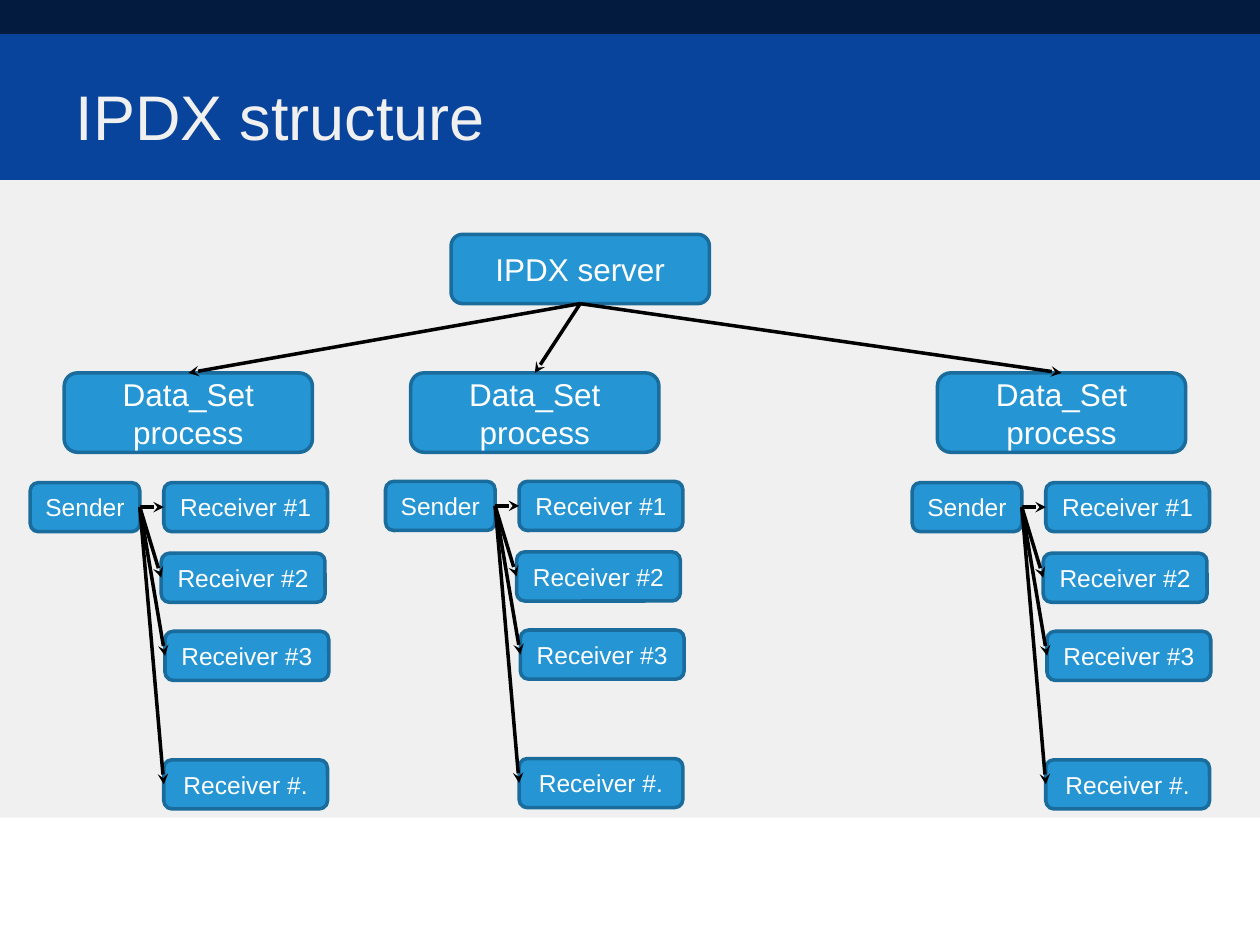
"""Build the IPDX structure slide."""
from pptx import Presentation
from pptx.dml.color import RGBColor
from pptx.enum import shapes, text
from pptx.oxml.ns import qn
from pptx.util import Inches, Pt
from lxml import etree

TOP, LEFT, BOTTOM, RIGHT = range(4)
RECEIVERS = [("#1", 1.06, 0), ("#2", 1.04, 0.56), ("#3", 1.07, 1.18), ("#.", 1.06, 2.2)]
BRANCHES = [(0.51, 0.24, 3.83), (3.26, 3.06, 3.82), (7.44, 7.24, 3.83)]


def color(code):
    """Turn a hex string into a colour."""
    return RGBColor.from_string(code)


def write(shape, words, size, code):
    """Put styled text into a shape."""
    frame = shape.text_frame
    frame.text = words
    frame.word_wrap = True
    frame.vertical_anchor = text.MSO_ANCHOR.MIDDLE
    font = frame.paragraphs[0].runs[0].font
    font.name, font.size = "Arial", Pt(size)
    font.color.rgb = color(code)
    return frame


def band(slide, top, height, code):
    """Draw a full-width background band."""
    shape = slide.shapes.add_shape(
        shapes.MSO_SHAPE.RECTANGLE, 0, Inches(top), Inches(10), Inches(height))
    shape.shadow.inherit = False
    shape.fill.solid()
    shape.fill.fore_color.rgb = color(code)
    shape.line.fill.background()


def title(slide, words):
    """Add the slide title."""
    box = slide.shapes.add_textbox(Inches(0.6), Inches(0.6), Inches(8.65), Inches(0.63))
    frame = write(box, words, 36, "F0F0F0")
    frame.margin_left = frame.margin_right = 0
    frame.margin_top = frame.margin_bottom = 0


def node(slide, words, left, top, width, height, size):
    """Draw a rounded box with centred text."""
    shape = slide.shapes.add_shape(
        shapes.MSO_SHAPE.ROUNDED_RECTANGLE,
        Inches(left), Inches(top), Inches(width), Inches(height))
    shape.shadow.inherit = False
    shape.fill.solid()
    shape.fill.fore_color.rgb = color("2695D3")
    shape.line.color.rgb = color("196C9B")
    shape.line.width = Pt(2)
    frame = write(shape, words, size, "FFFFFF")
    frame.paragraphs[0].alignment = text.PP_ALIGN.CENTER
    return shape


def arrow(slide, start, exit, end, entry):
    """Connect two boxes with an arrow."""
    link = slide.shapes.add_connector(shapes.MSO_CONNECTOR.STRAIGHT, 0, 0, 0, 0)
    link.begin_connect(start, exit)
    link.end_connect(end, entry)
    link.line.color.rgb = color("000000")
    link.line.width = Pt(2)
    etree.SubElement(link.line._get_or_add_ln(), qn("a:tailEnd"), type="stealth")
    etree.SubElement(link._element.spPr, qn("a:effectLst"))


def branch(slide, left, top):
    """Draw a sender with its receivers."""
    sender = node(slide, "Sender", left, top, 0.87, 0.39, 14)
    boxes = [node(slide, f"Receiver {mark}", left + dx, top + dy, 1.3, 0.39, 14)
             for mark, dx, dy in RECEIVERS]
    for box in boxes:
        arrow(slide, sender, RIGHT, box, LEFT)


def main():
    """Assemble and save the slide."""
    deck = Presentation()
    deck.slide_width, deck.slide_height = Inches(10), Inches(7.5)
    slide = deck.slides.add_slide(deck.slide_layouts[6])
    band(slide, 0.27, 1.17, "08449C")
    band(slide, 1.43, 5.06, "F0F0F0")
    band(slide, 0, 0.27, "031B3F")
    title(slide, "IPDX structure")
    server = node(slide, "IPDX server", 3.58, 1.86, 2.05, 0.55, 18)
    tasks = [node(slide, "Data_Set process", left, 2.96, 1.97, 0.63, 18)
             for left, _, _ in BRANCHES]
    for task in tasks:
        arrow(slide, server, BOTTOM, task, TOP)
    for _, left, top in BRANCHES:
        branch(slide, left, top)
    deck.save("out.pptx")


main()
